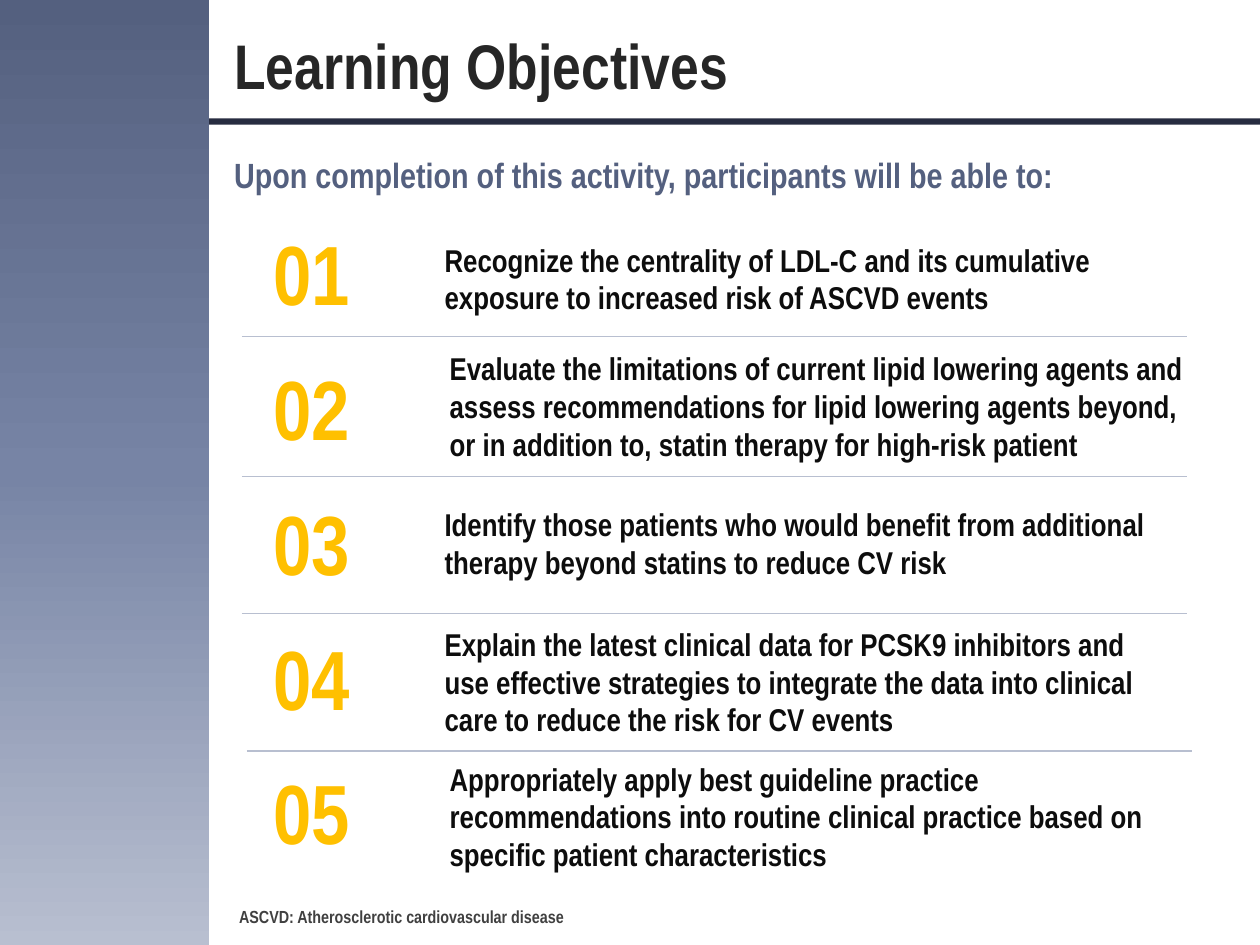
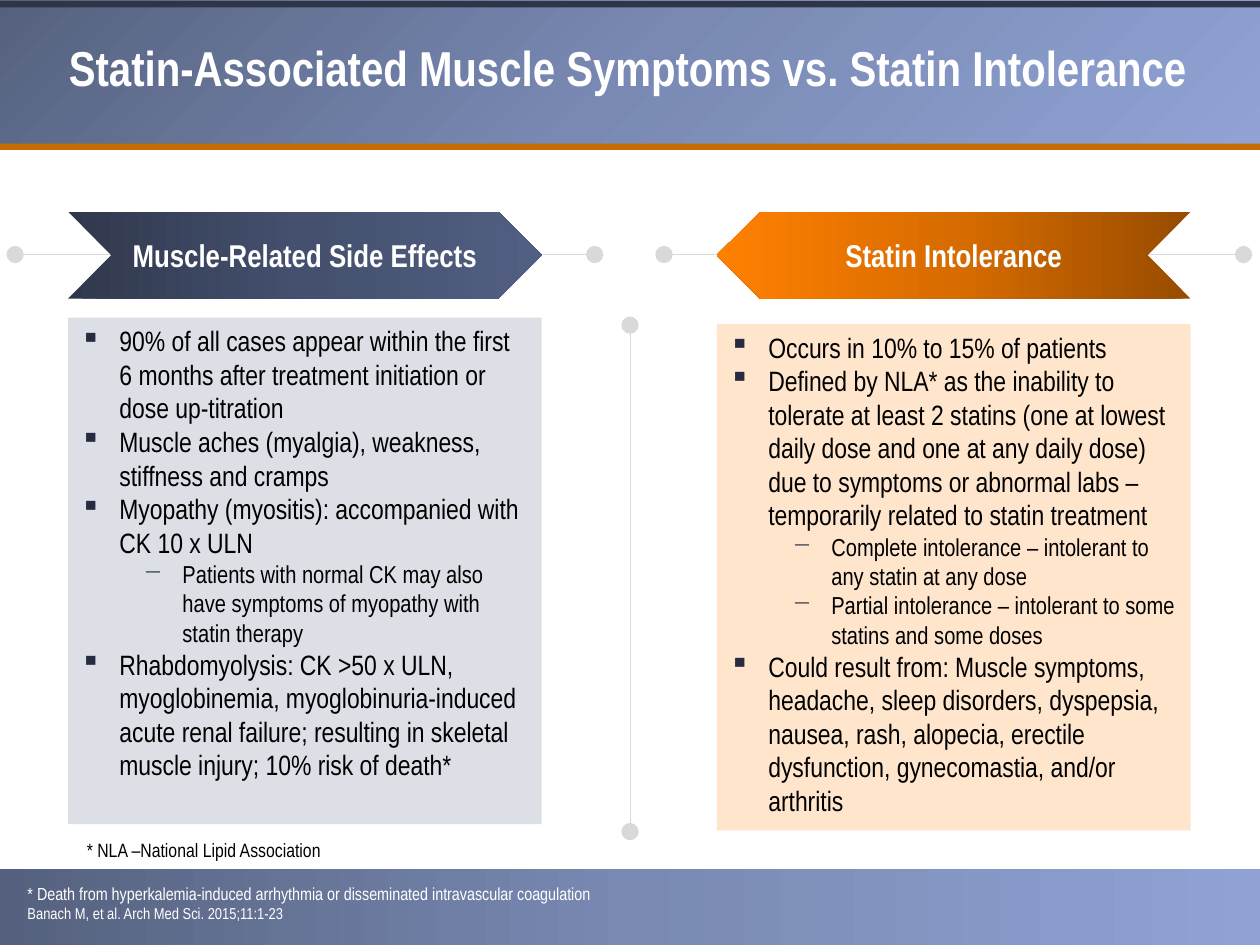
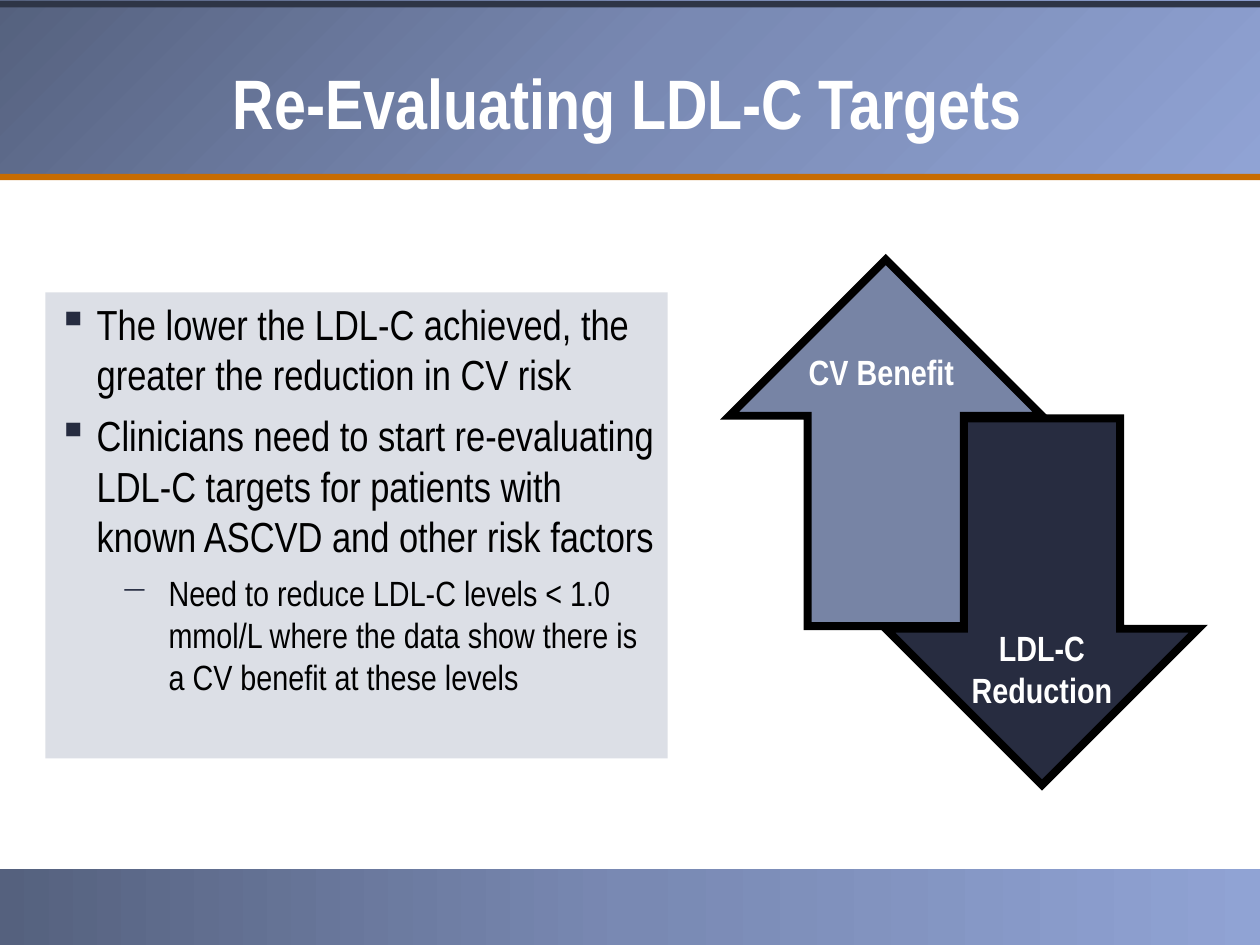
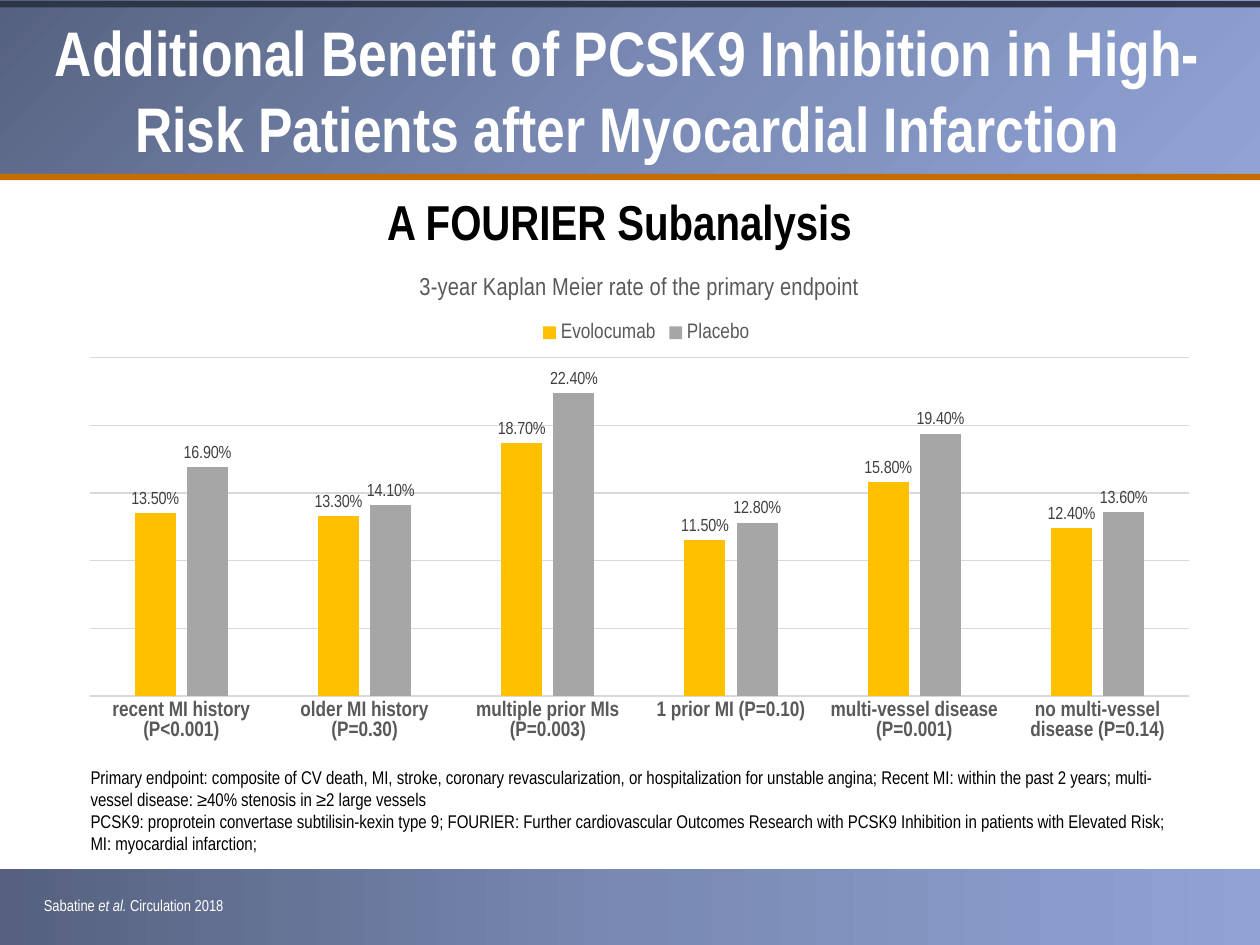
from dataclasses import dataclass

from lxml.etree import SubElement
from pptx import Presentation
from pptx.chart.data import CategoryChartData
from pptx.dml.color import RGBColor
from pptx.enum.chart import XL_CHART_TYPE, XL_LABEL_POSITION, XL_LEGEND_POSITION, XL_TICK_MARK
from pptx.enum.shapes import MSO_CONNECTOR, MSO_SHAPE
from pptx.enum.text import MSO_ANCHOR, MSO_AUTO_SIZE, PP_ALIGN
from pptx.oxml.ns import qn
from pptx.util import Inches, Pt


@dataclass(frozen=True)
class Theme:
    font: str = "Arial Narrow"
    white: str = "FFFFFF"
    black: str = "000000"
    ink: str = "0D0D0D"
    heading: str = "262626"
    note: str = "404040"
    axis_text: str = "595959"
    navy: str = "272C40"
    bullet: str = "262C40"
    slate: str = "54607F"
    steel: str = "7784A5"
    mist: str = "B8BFD0"
    gold: str = "FFC000"
    grey: str = "A6A6A6"
    hairline: str = "D9D9D9"
    top_edge: str = "2E3546"
    orange_rule: str = "C76C02"
    blue_tint: str = "525F83"
    orange_tint: str = "FC8004"
    band: tuple = ("55617E", "7989B3", "90A3D4")
    side: tuple = ("54607F", "7784A5", "B8BFD0")
    blue_arrow: tuple = ("30384D", "44506E", "515F82")
    orange_arrow: tuple = ("984C00", "D86C00", "FF8001")
    number_size: float = 48
    title_size: float = 36
    subtitle_size: float = 28
    lead_size: float = 20
    body_size: float = 18
    bullet_size: float = 16
    sub_bullet_size: float = 14
    chart_size: float = 12
    note_size: float = 10
    source_size: float = 9


@dataclass(frozen=True)
class Box:
    left: float
    top: float
    width: float
    height: float

    def inches(self):
        return [Inches(v) for v in (self.left, self.top, self.width, self.height)]

    def region(self, dx, dy, width, height):
        return Box(self.left + dx, self.top + dy, width, height)


THEME = Theme()
PAGE = Box(0, 0, 10, 7.5)
SQUARE, DASH = "▪", "─"


def rgb(value):
    return RGBColor.from_string(value)


# ---- Text ----
def style_font(font, size, color, bold=False, italic=False):
    font.name, font.size, font.bold, font.italic = THEME.font, Pt(size), bold, italic
    font.color.rgb = rgb(color)


def add_run(paragraph, text, size, color, bold=False, italic=False):
    run = paragraph.add_run()
    run.text = text
    style_font(run.font, size, color, bold, italic)


def next_paragraph(frame, index):
    return frame.add_paragraph() if index else frame.paragraphs[0]


def set_frame(frame, wrap=True, anchor=MSO_ANCHOR.TOP, fit=MSO_AUTO_SIZE.SHAPE_TO_FIT_TEXT):
    frame.word_wrap, frame.vertical_anchor, frame.auto_size = wrap, anchor, fit


def add_text(slide, box, text, size, color, bold=False, align=PP_ALIGN.LEFT, wrap=True):
    label = slide.shapes.add_textbox(*box.inches())
    frame = label.text_frame
    set_frame(frame, wrap)
    frame.paragraphs[0].alignment = align
    add_run(frame.paragraphs[0], text, size, color, bold)
    return frame


def place_title(slide, box, text, size, color, align):
    title = slide.shapes.title
    title.left, title.top, title.width, title.height = box.inches()
    set_frame(title.text_frame)
    paragraph = title.text_frame.paragraphs[0]
    paragraph.alignment = align
    add_run(paragraph, text, size, color, bold=True)
    title.element.getparent().append(title.element)  # in front of the band


def add_bullets(frame, items, sizes, dash_margin, dash_hang, gap=0):
    """Items are (bullet character, text) pairs; sizes maps character to points."""
    for index, (mark, text) in enumerate(items):
        paragraph = next_paragraph(frame, index)
        paragraph.alignment = PP_ALIGN.LEFT
        paragraph.level = int(mark == DASH)
        paragraph.space_after = Pt(gap)
        margin, hang = (dash_margin, dash_hang) if mark == DASH else (0.31, 0.31)
        properties = paragraph._p.get_or_add_pPr()
        properties.set("marL", str(Inches(margin)))
        properties.set("indent", str(-Inches(hang)))
        color = SubElement(properties, qn("a:buClr"))
        SubElement(color, qn("a:srgbClr"), val=THEME.bullet)
        SubElement(properties, qn("a:buChar"), char=mark)
        add_run(paragraph, text, sizes[mark], THEME.black)


# ---- Shapes ----
def add_block(slide, box, color=None, kind=MSO_SHAPE.RECTANGLE, opacity=None):
    block = slide.shapes.add_shape(kind, *box.inches())
    block.shadow.inherit = False
    block.line.fill.background()
    if color:
        block.fill.solid()
        block.fill.fore_color.rgb = rgb(color)
    if opacity:
        tint = block.element.spPr.find(qn("a:solidFill"))[0]
        SubElement(tint, qn("a:alpha"), val=str(opacity * 1000))
    return block


def fill_gradient(block, colors, angle=None):
    """Three even stops, along an angle or outward from the top left corner."""
    block.fill.background()
    properties = block.element.spPr
    empty = properties.find(qn("a:noFill"))
    gradient = SubElement(properties, qn("a:gradFill"), rotWithShape="1")
    properties.replace(empty, gradient)
    stops = SubElement(gradient, qn("a:gsLst"))
    for position, color in zip((0, 50000, 100000), colors):
        stop = SubElement(stops, qn("a:gs"), pos=str(position))
        SubElement(stop, qn("a:srgbClr"), val=color)
    if angle is None:
        circle = SubElement(gradient, qn("a:path"), {"path": "circle"})
        SubElement(circle, qn("a:fillToRect"), r="100000", b="100000")
    else:
        SubElement(gradient, qn("a:lin"), ang=str(angle * 60000), scaled="0")


def flip(block, axis):
    block.element.spPr.find(qn("a:xfrm")).set(f"flip{axis}", "1")


def add_line(slide, start, end, color, width, dots=False):
    line = slide.shapes.add_connector(
        MSO_CONNECTOR.STRAIGHT, *[Inches(v) for v in (*start, *end)])
    line.line.color.rgb = rgb(color)
    line.line.width = Pt(width)
    if dots:
        outline = line.element.spPr.find(qn("a:ln"))
        for tag in ("a:headEnd", "a:tailEnd"):
            SubElement(outline, qn(tag), type="oval", w="lg", len="lg")
    SubElement(line.element.spPr, qn("a:effectLst"))


# ---- Shared header and footer ----
def add_header(slide, band_height, text, size, title_top, title_height):
    band = Box(-0.02, 0, 10.02, band_height)
    fill_gradient(add_block(slide, band), THEME.band)
    add_block(slide, band.region(0, band_height - 0.02, band.width, 0.05), THEME.orange_rule)
    add_block(slide, band.region(0, 0.01, band.width, 0.05), THEME.top_edge)
    place_title(slide, band.region(0, title_top, 10, title_height), text, size,
                THEME.white, PP_ALIGN.CENTER)


def add_footer(slide):
    fill_gradient(add_block(slide, Box(0, 6.9, 10.02, 0.6)), THEME.band, 0)


# ---- Slide 1: objectives ----
# Text, left offset, top, width, height
OBJECTIVES = [
    ("Recognize the centrality of LDL-C and its cumulative exposure to increased risk of "
     "ASCVD events", 0, 1.86, 5.99, 0.71),
    ("Evaluate the limitations of current lipid lowering agents and assess recommendations "
     "for lipid lowering agents beyond, or in addition to, statin therapy for high-risk patient",
     0.04, 2.72, 6.09, 1.01),
    ("Identify those patients who would benefit from additional therapy beyond statins to "
     "reduce CV risk", 0, 3.96, 5.99, 0.71),
    ("Explain the latest clinical data for PCSK9 inhibitors and use effective strategies to "
     "integrate the data into clinical care to reduce the risk for CV events",
     0, 4.91, 5.99, 1.01),
    ("Appropriately apply best guideline practice recommendations into routine clinical "
     "practice based on specific patient characteristics", 0.04, 5.98, 5.99, 1.01),
]
DIVIDERS = [(1.92, 2.67), (1.92, 3.78), (1.92, 4.87), (1.96, 5.96)]


def add_objectives(slide, box):
    for index, (text, nudge, top, width, height) in enumerate(OBJECTIVES):
        add_text(slide, box.region(0.15, 1.07 * index, 0.82, 0.91), f"{index + 1:02}",
                 THEME.number_size, THEME.gold, bold=True, wrap=False)
        add_text(slide, box.region(1.51 + nudge, top - box.top, width, height), text,
                 THEME.body_size, THEME.ink, bold=True)
    for left, top in DIVIDERS:
        add_line(slide, (left, top), (left + 7.5, top), THEME.mist, 0.75)


def build_objectives(slide):
    fill_gradient(add_block(slide, Box(0, 0, 1.66, PAGE.height)), THEME.side, 90)
    add_block(slide, Box(1.66, 0.94, 8.35, 0.05), THEME.navy)
    place_title(slide, Box(1.76, 0.16, 8.42, 0.71), "Learning Objectives",
                THEME.title_size, THEME.heading, PP_ALIGN.LEFT)
    add_text(slide, Box(1.76, 1.17, 8.05, 0.44),
             "Upon completion of this activity, participants will be able to:",
             THEME.lead_size, THEME.slate, bold=True)
    add_objectives(slide, Box(1.92, 1.71, 7.5, 5.28))
    add_text(slide, Box(1.8, 7.14, 2.8, 0.27), "ASCVD: Atherosclerotic cardiovascular disease",
             THEME.note_size, THEME.note, bold=True, wrap=False)


# ---- Slide 2: comparison ----
SIDE_EFFECTS = [
    (SQUARE, "90% of all cases appear within the first 6 months after treatment initiation or "
             "dose up-titration"),
    (SQUARE, "Muscle aches (myalgia), weakness, stiffness and cramps"),
    (SQUARE, "Myopathy (myositis): accompanied with CK 10 x ULN"),
    (DASH, "Patients with normal CK may also have symptoms of myopathy with statin therapy"),
    (SQUARE, "Rhabdomyolysis: CK >50 x ULN, myoglobinemia, myoglobinuria-induced acute renal "
             "failure; resulting in skeletal muscle injury; 10% risk of death*"),
]
INTOLERANCE = [
    (SQUARE, "Occurs in 10% to 15% of patients"),
    (SQUARE, "Defined by NLA* as the inability to tolerate at least 2 statins (one at lowest "
             "daily dose and one at any daily dose) due to symptoms or abnormal labs – "
             "temporarily related to statin treatment"),
    (DASH, "Complete intolerance – intolerant to any statin at any dose"),
    (DASH, "Partial intolerance – intolerant to some statins and some doses"),
    (SQUARE, "Could result from: Muscle symptoms, headache, sleep disorders, dyspepsia, nausea, "
             "rash, alopecia, erectile dysfunction, gynecomastia, and/or arthritis"),
]


def add_column(slide, box, heading, colors, tint, items, body_offset, points_left=False):
    # Heading arrow on its dotted line
    middle = box.top + 0.34
    add_line(slide, (box.left - 0.42, middle), (box.left + box.width + 0.42, middle),
             THEME.hairline, 0.75, dots=True)
    arrow = add_block(slide, box.region(0, 0, box.width, 0.69), kind=MSO_SHAPE.CHEVRON)
    fill_gradient(arrow, colors, 0)
    if points_left:
        flip(arrow, "H")
    set_frame(arrow.text_frame, anchor=MSO_ANCHOR.MIDDLE, fit=MSO_AUTO_SIZE.NONE)
    paragraph = arrow.text_frame.paragraphs[0]
    paragraph.alignment = PP_ALIGN.CENTER
    add_run(paragraph, heading, THEME.body_size, THEME.white, bold=True)
    # Tinted panel
    panel = add_block(slide, box.region(0, body_offset, box.width, 4.02), tint, opacity=20)
    set_frame(panel.text_frame, fit=MSO_AUTO_SIZE.NONE)
    add_bullets(panel.text_frame, items,
                {SQUARE: THEME.bullet_size, DASH: THEME.sub_bullet_size}, 0.81, 0.31)


def build_comparison(slide):
    add_header(slide, 1.16, "Statin-Associated Muscle Symptoms vs. Statin Intolerance",
               THEME.subtitle_size, 0.25, 0.57)
    add_footer(slide)
    add_column(slide, Box(0.54, 1.68, 3.76, 4.86), "Muscle-Related Side Effects",
               THEME.blue_arrow, THEME.blue_tint, SIDE_EFFECTS, 0.84)
    add_column(slide, Box(5.69, 1.68, 3.76, 4.91), "Statin Intolerance",
               THEME.orange_arrow, THEME.orange_tint, INTOLERANCE, 0.89, points_left=True)
    add_line(slide, (5, 2.58), (5, 6.6), THEME.hairline, 0.5, dots=True)
    add_text(slide, Box(0.59, 6.6, 4.61, 0.29), "* NLA –National Lipid Association",
             11, THEME.black)
    sources = add_text(
        slide, Box(0.12, 6.96, 9.54, 0.42),
        "* Death from hyperkalemia-induced arrhythmia or disseminated intravascular coagulation",
        THEME.note_size, THEME.white)
    add_run(sources.add_paragraph(), "Banach M, et al. Arch Med Sci. 2015;11:1-23",
            THEME.source_size, THEME.white)


# ---- Slide 3: targets ----
TARGETS = [
    (SQUARE, "The lower the LDL-C achieved, the greater the reduction in CV risk"),
    (SQUARE, "Clinicians need to start re-evaluating LDL-C targets for patients with known "
             "ASCVD and other risk factors"),
    (DASH, "Need to reduce LDL-C levels < 1.0 mmol/L where the data show there is a CV benefit "
           "at these levels"),
]


def add_outlined_arrow(slide, box, color):
    arrow = add_block(slide, box, color, MSO_SHAPE.DOWN_ARROW)
    arrow.line.color.rgb = rgb(THEME.black)
    arrow.line.width = Pt(4.5)
    SubElement(arrow.element.spPr.find(qn("a:ln")), qn("a:miter"), lim="800000")
    return arrow


def add_arrow_pair(slide, box):
    add_outlined_arrow(slide, box.region(1.24, 1.26, 2.48, 2.91), THEME.navy)
    benefit = add_outlined_arrow(slide, box.region(0, 0, 2.48, 2.91), THEME.steel)
    flip(benefit, "V")
    for text, spot in (("CV Benefit", box.region(0.46, 0.67, 1.49, 0.44)),
                       ("LDL-C Reduction", box.region(1.78, 2.86, 1.4, 0.77))):
        add_text(slide, spot, text, THEME.lead_size, THEME.white, True, PP_ALIGN.CENTER)


def build_targets(slide):
    add_header(slide, 1.4, "Re-Evaluating LDL-C Targets", 40, 0.42, 0.77)
    add_footer(slide)
    add_arrow_pair(slide, Box(5.79, 2.06, 3.72, 4.17))
    panel = add_block(slide, Box(0.36, 2.32, 4.94, 3.7), THEME.blue_tint, opacity=20)
    set_frame(panel.text_frame, fit=MSO_AUTO_SIZE.NONE)
    add_bullets(panel.text_frame, TARGETS, {SQUARE: 24, DASH: THEME.lead_size},
                0.88, 0.38, gap=6)


# ---- Slide 4: subanalysis chart ----
GROUPS = ["recent MI history (P<0.001)", "older MI history (P=0.30)",
          "multiple prior MIs (P=0.003)", "1 prior MI (P=0.10)",
          "multi-vessel disease (P=0.001)", "no multi-vessel disease (P=0.14)"]
RATES = [("Evolocumab", THEME.gold, (0.135, 0.133, 0.187, 0.115, 0.158, 0.124)),
         ("Placebo", THEME.grey, (0.169, 0.141, 0.224, 0.128, 0.194, 0.136))]
PERCENT = "0.00%"


def fix_layout(area, **fractions):
    """Pin a chart area at fractions of the whole chart."""
    layout = area.find(qn("c:layout"))
    if layout is None:
        layout = SubElement(area, qn("c:layout"))
    manual = SubElement(layout, qn("c:manualLayout"))
    if "w" in fractions:
        SubElement(manual, qn("c:layoutTarget"), val="inner")
    for axis in "xy":
        SubElement(manual, qn(f"c:{axis}Mode"), val="edge")
    for name, value in fractions.items():
        SubElement(manual, qn(f"c:{name}"), val=str(value))
    return layout


def add_rate_chart(slide, box):
    data = CategoryChartData(number_format=PERCENT)
    data.categories = GROUPS
    for name, _, values in RATES:
        data.add_series(name, values)
    chart = slide.shapes.add_chart(
        XL_CHART_TYPE.COLUMN_CLUSTERED, *box.inches(), data).chart
    style_font(chart.font, THEME.chart_size, THEME.black)
    chart.font.name = "Calibri"

    # Title and legend
    chart.has_title = True
    add_run(chart.chart_title.text_frame.paragraphs[0],
            "3-year Kaplan Meier rate of the primary endpoint", 14, THEME.axis_text)
    chart.has_legend = True
    legend = chart.legend
    legend.position = XL_LEGEND_POSITION.TOP
    legend.include_in_layout = False
    style_font(legend.font, THEME.chart_size, THEME.axis_text)

    # Axes
    groups = chart.category_axis
    groups.major_tick_mark = XL_TICK_MARK.NONE
    groups.format.line.color.rgb = rgb(THEME.hairline)
    groups.format.line.width = Pt(0.75)
    style_font(groups.tick_labels.font, THEME.chart_size, THEME.axis_text, bold=True)
    rates = chart.value_axis
    rates.visible = False
    rates.minimum_scale, rates.maximum_scale, rates.major_unit = 0, 0.25, 0.05
    rates.tick_labels.number_format = PERCENT
    rates.tick_labels.number_format_is_linked = False
    rates.major_gridlines.format.line.color.rgb = rgb(THEME.hairline)
    rates.major_gridlines.format.line.width = Pt(0.75)

    # Columns and their labels
    plot = chart.plots[0]
    plot.gap_width, plot.overlap, plot.vary_by_categories = 219, -27, False
    for series, (_, color, _) in zip(plot.series, RATES):
        series.format.fill.solid()
        series.format.fill.fore_color.rgb = rgb(color)
        labels = series.data_labels
        labels.show_value = True
        labels.position = XL_LABEL_POSITION.OUTSIDE_END
        labels.number_format, labels.number_format_is_linked = PERCENT, False
        style_font(labels.font, THEME.note_size, THEME.note)

    # Fixed plot and legend places
    plot_area = chart.element.chart.plotArea if hasattr(chart, "element") else None
    plot_area = chart._chartSpace.chart.plotArea if plot_area is None else plot_area
    plot_area.insert(0, fix_layout(plot_area, x=0.02, y=0.21, w=0.96, h=0.68))
    key = plot_area.getparent().find(qn("c:legend"))
    key.insert(1, fix_layout(key, x=0.41, y=0.13))


def build_subanalysis(slide):
    add_header(slide, 1.4, "Additional Benefit of PCSK9 Inhibition in High-Risk Patients after "
               "Myocardial Infarction", THEME.title_size, 0.06, 1.31)
    add_footer(slide)
    add_rate_chart(slide, Box(0.53, 2.01, 9.09, 3.95))
    add_text(slide, Box(0.42, 1.47, 8.99, 0.57), "A FOURIER Subanalysis",
             THEME.subtitle_size, THEME.black, True, PP_ALIGN.CENTER)
    notes = add_text(
        slide, Box(0.62, 6.03, 8.89, 0.81),
        "Primary endpoint: composite of CV death, MI, stroke, coronary revascularization, or "
        "hospitalization for unstable angina; Recent MI: within the past 2 years; multi-vessel "
        "disease: ≥40% stenosis in ≥2 large vessels", 10.5, THEME.black)
    add_run(notes.add_paragraph(),
            "PCSK9: proprotein convertase subtilisin-kexin type 9; FOURIER: Further "
            "cardiovascular Outcomes Research with PCSK9 Inhibition in patients with Elevated "
            "Risk; MI: myocardial infarction;", 10.5, THEME.black)
    source = add_text(slide, Box(0.25, 7.06, 4.32, 0.25), "Sabatine ",
                      THEME.source_size, THEME.white).paragraphs[0]
    add_run(source, "et al. ", THEME.source_size, THEME.white, italic=True)
    add_run(source, "Circulation 2018", THEME.source_size, THEME.white)


def main():
    deck = Presentation()
    deck.slide_width, deck.slide_height = Inches(PAGE.width), Inches(PAGE.height)
    title_only = deck.slide_layouts[5]
    for build in (build_objectives, build_comparison, build_targets, build_subanalysis):
        build(deck.slides.add_slide(title_only))
    deck.save("out.pptx")


if __name__ == "__main__":
    main()
